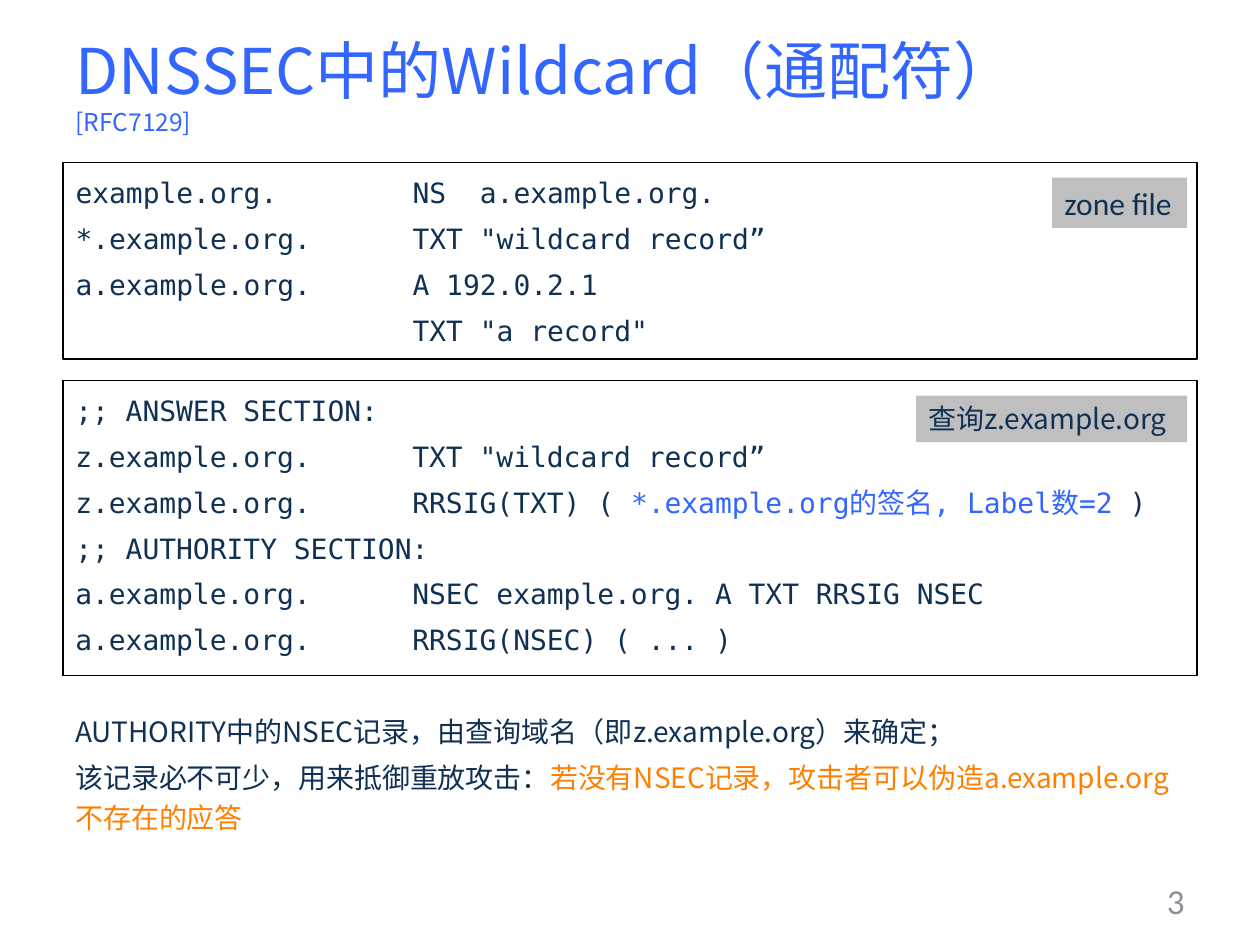
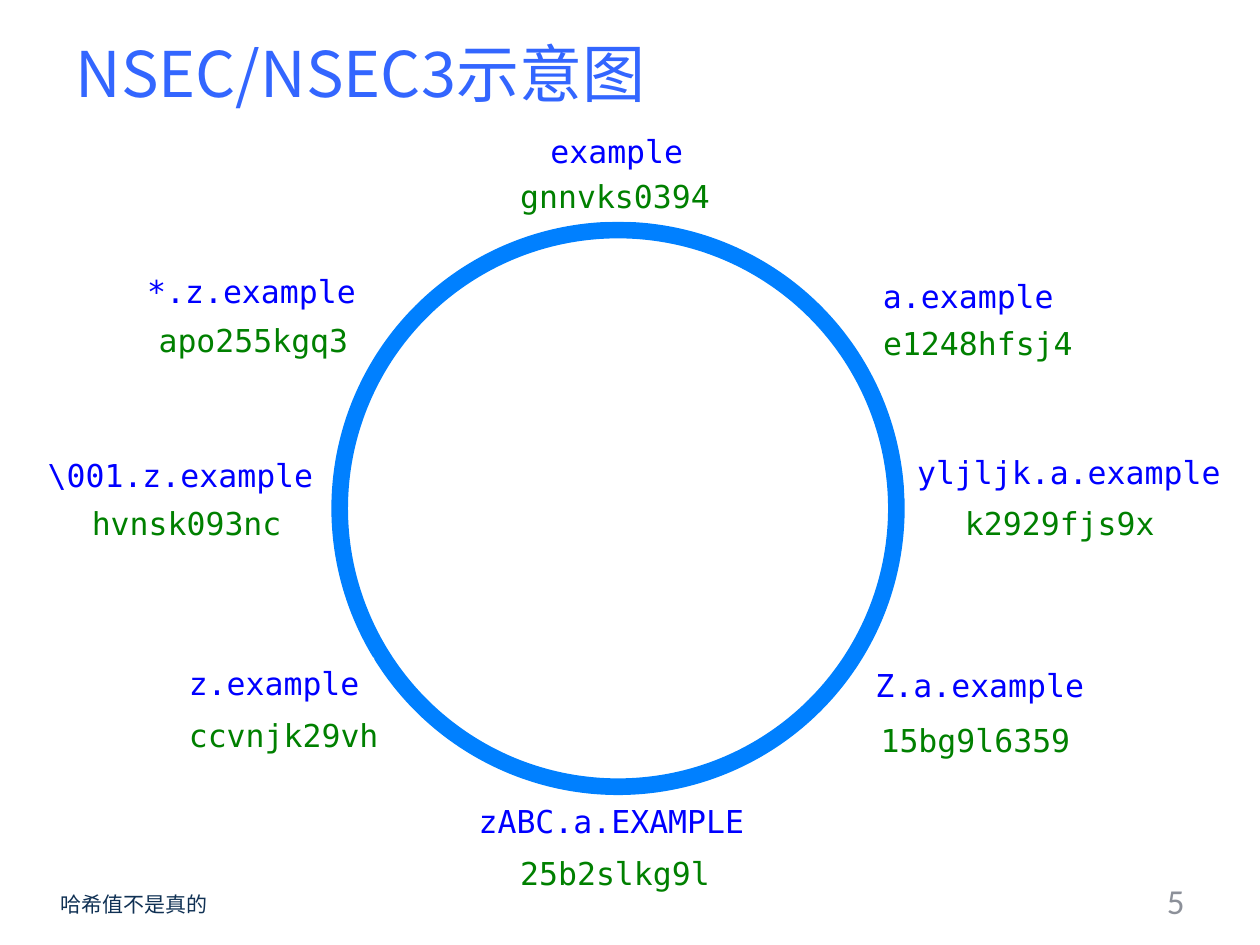
from dataclasses import dataclass, replace

from lxml.etree import SubElement
from pptx import Presentation
from pptx.dml.color import RGBColor
from pptx.enum.shapes import MSO_SHAPE
from pptx.enum.text import MSO_ANCHOR, MSO_AUTO_SIZE, PP_ALIGN
from pptx.oxml.ns import qn
from pptx.util import Inches, Pt

CELL = 0.5  # the slide is a grid of 20 columns by 15 rows
COLUMNS, ROWS = 20, 15


@dataclass(frozen=True)
class Style:
    font: str
    size: float
    color: str


class Theme:
    sans, mono, plain = "Noto Sans CJK SC", "DejaVu Sans Mono", "Calibri"
    ink, accent, warning = "103154", "3366FF", "FF7F01"
    outline, tag_fill, label_fill, ring = "000000", "BFBFBF", "FFFFFF", "0080FF"
    title = Style(sans, 36, accent)
    subtitle = Style(sans, 14, accent)
    body = Style(sans, 16, ink)
    code = Style(mono, 16, ink)
    tag = Style(plain, 18, ink)
    footnote = Style(sans, 12, ink)
    page_number = Style(plain, 20, "8C9099")
    domain = Style(mono, 18, "0000FF")
    digest = Style(mono, 18, "008000")


@dataclass(frozen=True)
class Box:
    """A rectangle in grid units."""
    left: float
    top: float
    width: float
    height: float

    def inside(self, left, top, width, height):
        return Box(self.left + left, self.top + top, width, height)

    def lengths(self):
        return [Inches(value * CELL)
                for value in (self.left, self.top, self.width, self.height)]


# Zones of the slides
TITLE_TOP, MARGIN, CONTENT_WIDTH = 0.08, 1, 18
ZONE_BOX = Box(MARGIN, 2.58, CONTENT_WIDTH, 3.12)
ANSWER_BOX = Box(MARGIN, 6.04, CONTENT_WIDTH, 4.68)
EXPLANATION_BOX = Box(MARGIN, 11.14, CONTENT_WIDTH, 2.1)
PAGE_NUMBER_BOX = Box(14.34, 13.9, 4.66, 0.8)
FOOTNOTE_BOX = Box(0.76, 14.06, 2.76, 0.6)
RING_BOX = Box(5.26, 3.52, 9.1, 9.1)
RING_THICKNESS = 0.029
RECORD_TAB = 5.35  # grid units from the text's left edge to the record type
LABEL_HEIGHT = 0.8

ZONE_RECORDS = [
    "example.org.\tNS  a.example.org.",
    '*.example.org.\tTXT "wildcard record”',
    "a.example.org.\tA 192.0.2.1",
    '\tTXT "a record"',
]
ANSWER_RECORDS = [
    ";; ANSWER SECTION:",
    'z.example.org.\tTXT "wildcard record”',
    ["z.example.org.\tRRSIG(TXT) ( ",
     ("*.example.org的签名, Label数=2 ", Theme.accent), ")"],
    ";; AUTHORITY SECTION:",
    "a.example.org.\tNSEC example.org. A TXT RRSIG NSEC",
    "a.example.org.\tRRSIG(NSEC) ( ... )",
]
EXPLANATION = [
    "AUTHORITY中的NSEC记录，由查询域名（即z.example.org）来确定；",
    ["该记录必不可少，用来抵御重放攻击：",
     ("若没有NSEC记录，攻击者可以伪造a.example.org不存在的应答", Theme.warning)],
]
# Domain and its hash, each with its offset from the ring's top left corner
RING_STATIONS = [
    ("example", (3.28, -1.52), "gnnvks0394", (2.8, -0.8)),
    ("a.example", (8.56, 0.78), "e1248hfsj4", (8.56, 1.52)),
    ("yljljk.a.example", (9.1, 3.58), "k2929fjs9x", (9.86, 4.38)),
    ("Z.a.example", (8.44, 6.96), "15bg9l6359", (8.52, 7.82)),
    ("zABC.a.EXAMPLE", (2.14, 9.12), "25b2slkg9l", (2.8, 9.94)),
    ("z.example", (-2.46, 6.92), "ccvnjk29vh", (-2.46, 7.74)),
    ("\\001.z.example", (-4.7, 3.62), "hvnsk093nc", (-4.0, 4.38)),
    ("*.z.example", (-3.12, 0.7), "apo255kgq3", (-2.94, 1.48)),
]


# Text helpers
def format_run(run, style):
    font = run.font
    font.size = Pt(style.size)
    font.color.rgb = RGBColor.from_string(style.color)
    font.name = style.font
    SubElement(run._r.get_or_add_rPr(), qn("a:ea"), typeface=Theme.sans)


def write_paragraph(paragraph, content, style):
    """Content is a string, or a list of strings and (string, colour) pairs."""
    for part in [content] if isinstance(content, str) else content:
        text, color = (part, style.color) if isinstance(part, str) else part
        run = paragraph.add_run()
        run.text = text
        format_run(run, replace(style, color=color))


def write_lines(frame, lines, style):
    frame.word_wrap = True
    frame.auto_size = MSO_AUTO_SIZE.NONE
    frame.vertical_anchor = MSO_ANCHOR.TOP
    tab_position = str(int(Inches(RECORD_TAB * CELL)))
    for index, line in enumerate(lines):
        paragraph = frame.add_paragraph() if index else frame.paragraphs[0]
        write_paragraph(paragraph, line, style)
        paragraph.alignment = PP_ALIGN.LEFT
        paragraph.line_spacing = 1.2
        paragraph.space_before = Pt(0)
        properties = paragraph._p.get_or_add_pPr()
        properties.set("marL", "0")
        properties.set("indent", "0")
        # The default tab distance must agree with the tab stop
        properties.set("defTabSz", tab_position)
        # Spacing before is a share of the line
        spacing = properties.find(qn("a:spcBef"))
        spacing.clear()
        SubElement(spacing, qn("a:spcPct"), val="20000")
        SubElement(properties, qn("a:buNone"))
        tab_list = SubElement(properties, qn("a:tabLst"))
        SubElement(tab_list, qn("a:tab"), pos=tab_position, algn="l")


def write_single_line(frame, text, style, alignment=PP_ALIGN.LEFT):
    frame.word_wrap = False
    frame.auto_size = MSO_AUTO_SIZE.SHAPE_TO_FIT_TEXT
    frame.vertical_anchor = MSO_ANCHOR.TOP
    paragraph = frame.paragraphs[0]
    paragraph.text = text
    paragraph.alignment = alignment
    format_run(paragraph.runs[0], style)


# Shape helpers
def place(shape, box):
    shape.left, shape.top, shape.width, shape.height = box.lengths()


def draw_outline(shape):
    shape.line.color.rgb = RGBColor.from_string(Theme.outline)
    shape.line.width = Pt(0.75)


def add_flat_shape(shapes, kind, box, fill=None):
    shape = shapes.add_shape(kind, *box.lengths())
    shape.shadow.inherit = False
    shape.line.fill.background()
    if fill:
        shape.fill.solid()
        shape.fill.fore_color.rgb = RGBColor.from_string(fill)
    else:
        shape.fill.background()
    return shape


def add_label(shapes, box, text, style, fill):
    label = add_flat_shape(shapes, MSO_SHAPE.RECTANGLE, box, fill)
    write_single_line(label.text_frame, text, style)
    return label


def add_corner_tag(slide, panel, width, height, text, style):
    box = panel.inside(panel.width - width - 0.16, 0.24, width, height)
    tag = add_label(slide.shapes, box, text, style, Theme.tag_fill)
    tag.text_frame.margin_right = Inches(0.05)  # room to stay on one line


# Parts that both slides share
def fill_title(slide, text, height):
    title = slide.shapes.title
    place(title, Box(MARGIN, TITLE_TOP, CONTENT_WIDTH, height))
    frame = title.text_frame
    frame.auto_size = MSO_AUTO_SIZE.NONE
    frame.vertical_anchor = MSO_ANCHOR.MIDDLE
    paragraph = frame.paragraphs[0]
    paragraph.text = text
    paragraph.alignment = PP_ALIGN.LEFT
    for run, style in zip(paragraph.runs, (Theme.title, Theme.subtitle)):
        format_run(run, style)
    for line_break in paragraph._p.findall(qn("a:br")):
        SubElement(line_break, qn("a:rPr"), sz=str(Theme.subtitle.size * 100))


def add_page_number(slide, number):
    frame = slide.shapes.add_textbox(*PAGE_NUMBER_BOX.lengths()).text_frame
    write_single_line(frame, str(number), Theme.page_number, PP_ALIGN.RIGHT)
    frame.word_wrap = True
    frame.auto_size = MSO_AUTO_SIZE.NONE
    frame.vertical_anchor = MSO_ANCHOR.MIDDLE


# Regions of the wildcard slide
def fill_zone_panel(slide, box):
    panel = slide.placeholders[1]
    place(panel, box)
    draw_outline(panel)
    write_lines(panel.text_frame, ZONE_RECORDS, Theme.code)
    add_corner_tag(slide, box, 2.14, 0.8, "zone file", Theme.tag)


def add_answer_panel(slide, box):
    panel = add_flat_shape(slide.shapes, MSO_SHAPE.RECTANGLE, box)
    draw_outline(panel)
    write_lines(panel.text_frame, ANSWER_RECORDS, Theme.code)
    add_corner_tag(slide, box, 4.3, 0.74, "查询z.example.org", Theme.body)


def add_explanation(slide, box):
    textbox = slide.shapes.add_textbox(*box.lengths())
    write_lines(textbox.text_frame, EXPLANATION, Theme.body)


# Region of the ring slide
def add_hash_ring(slide, box):
    ring = add_flat_shape(slide.shapes, MSO_SHAPE.DONUT, box, Theme.ring)
    ring.adjustments[0] = RING_THICKNESS
    for domain, domain_offset, digest, digest_offset in RING_STATIONS:
        station = slide.shapes.add_group_shape()
        for text, offset, style in ((domain, domain_offset, Theme.domain),
                                    (digest, digest_offset, Theme.digest)):
            width = 0.3 * len(text) + 0.44  # monospaced letters plus insets
            label_box = box.inside(*offset, width, LABEL_HEIGHT)
            add_label(station.shapes, label_box, text, style, Theme.label_fill)


# Slides
def build_wildcard_slide(presentation):
    slide = presentation.slides.add_slide(presentation.slide_layouts[1])
    fill_title(slide, "DNSSEC中的Wildcard（通配符）\v[RFC7129]", 2.5)
    fill_zone_panel(slide, ZONE_BOX)
    add_answer_panel(slide, ANSWER_BOX)
    add_explanation(slide, EXPLANATION_BOX)
    add_page_number(slide, 3)


def build_ring_slide(presentation):
    slide = presentation.slides.add_slide(presentation.slide_layouts[5])
    fill_title(slide, "NSEC/NSEC3示意图", 2.12)
    add_hash_ring(slide, RING_BOX)
    footnote = slide.shapes.add_textbox(*FOOTNOTE_BOX.lengths())
    write_single_line(footnote.text_frame, "哈希值不是真的", Theme.footnote)
    add_page_number(slide, 5)


def main():
    presentation = Presentation()
    presentation.slide_width = Inches(COLUMNS * CELL)
    presentation.slide_height = Inches(ROWS * CELL)
    build_wildcard_slide(presentation)
    build_ring_slide(presentation)
    presentation.save("out.pptx")


if __name__ == "__main__":
    main()
